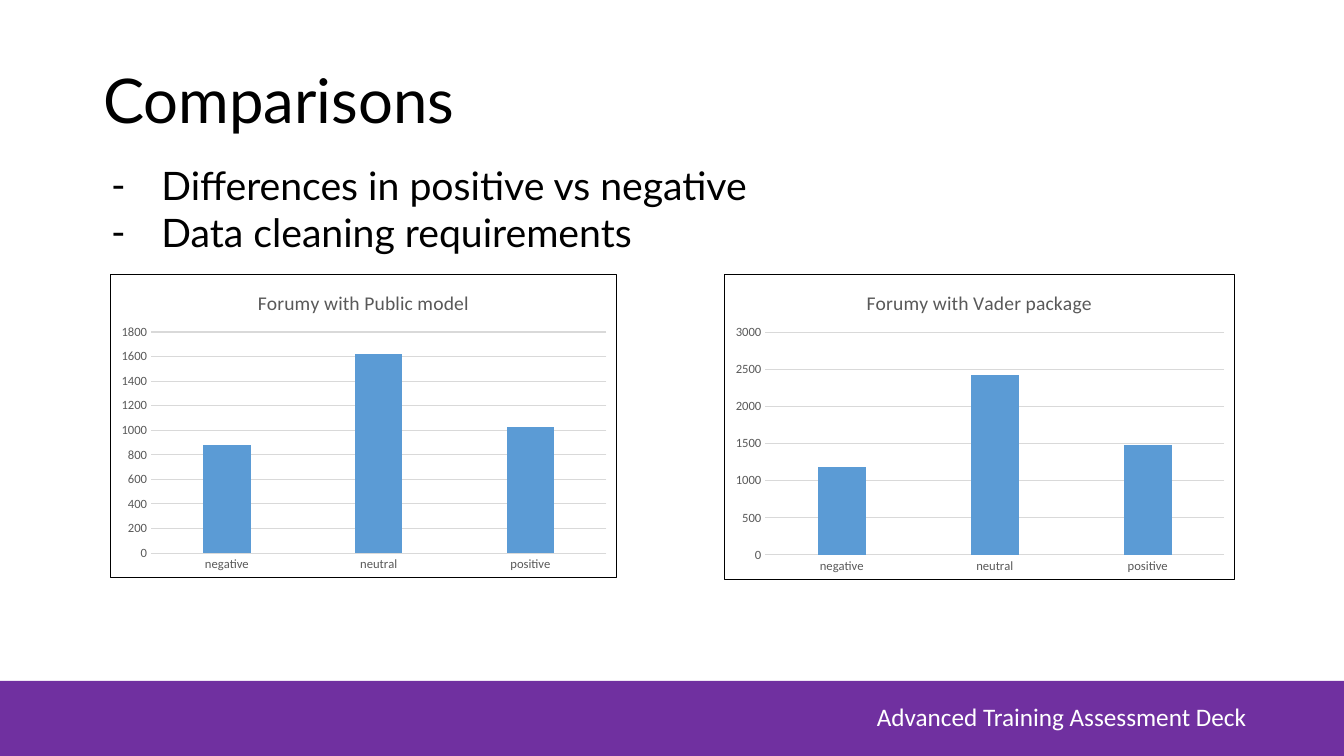
"""Build the Comparisons slide with two sentiment column charts."""
import pptx
import pptx.util
import pptx.dml.color
import pptx.chart.data
import pptx.enum.chart
import pptx.enum.shapes
import pptx.enum.text
import pptx.oxml

PX = 914400 / 100.8
C_NS = 'xmlns:c="http://schemas.openxmlformats.org/drawingml/2006/chart"'
A_NS = 'xmlns:a="http://schemas.openxmlformats.org/drawingml/2006/main"'
Pt = pptx.util.Pt
rgb = pptx.dml.color.RGBColor.from_string


def box(*lengths):
    return [round(n * PX) for n in lengths]


def style(font, name, size, color):
    font.name, font.size, font.bold = name, Pt(size), False
    font.color.rgb = rgb(color)


prs = pptx.Presentation()
prs.slide_width, prs.slide_height = box(1344, 756)
s = prs.slides.add_slide(prs.slide_layouts[1])

band = s.shapes.add_shape(pptx.enum.shapes.MSO_SHAPE.RECTANGLE, *box(0, 681, 1344, 75))
band.shadow.inherit = False
band.fill.solid()
band.fill.fore_color.rgb = rgb("7030A0")
band.line.fill.background()

footer = s.shapes.add_textbox(*box(867, 696, 419, 40))
footer.text_frame.word_wrap = True
footer.text_frame.text = "Advanced Training Assessment Deck"
style(footer.text_frame.paragraphs[0].runs[0].font, "Calibri", 18, "FFFFFF")

title = s.shapes.title
title.left, title.top, title.width, title.height = box(93, 31, 1159, 146)
tf = title.text_frame
tf.text = "Comparisons"
tf.vertical_anchor = pptx.enum.text.MSO_ANCHOR.MIDDLE
p = tf.paragraphs[0]
p.alignment = pptx.enum.text.PP_ALIGN.LEFT
p.line_spacing = 0.9
style(p.runs[0].font, "Lato", 44, "000000")

body = s.placeholders[1]
body.left, body.top, body.width, body.height = box(101, 156, 1142, 105)
tf = body.text_frame
tf.text = "Differences in positive vs negative\nData cleaning requirements"
tf.auto_size = pptx.enum.text.MSO_AUTO_SIZE.NONE
for p in tf.paragraphs:
    p.space_before = Pt(0)
    style(p.runs[0].font, "Lato", 28, "000000")
    pPr = p._p.get_or_add_pPr()
    pPr.set("marL", "457200")
    pPr.set("indent", "-457200")
    pPr.append(pptx.oxml.parse_xml(f'<a:buFont {A_NS} typeface="Lato"/>'))
    pPr.append(pptx.oxml.parse_xml(f'<a:buChar {A_NS} char="-"/>'))

charts = [
    ("Forumy with Public model", (110, 274, 507, 304), (880, 1620, 1030), 1800, 200),
    ("Forumy with Vader package", (724, 274, 511, 306), (1190, 2430, 1480), 3000, 500),
]
for heading, place, values, top, step in charts:
    data = pptx.chart.data.CategoryChartData()
    data.categories = ["negative", "neutral", "positive"]
    data.add_series("Series 1", values)
    kind = pptx.enum.chart.XL_CHART_TYPE.COLUMN_CLUSTERED
    chart = s.shapes.add_chart(kind, *box(*place), data).chart
    style(chart.font, "Calibri", 10, "000000")
    chart.has_legend = False
    chart.has_title = True
    chart.chart_title.include_in_layout = False
    tf = chart.chart_title.text_frame
    tf.text = heading
    style(tf.paragraphs[0].runs[0].font, "Calibri", 14, "595959")

    plot = chart.plots[0]
    plot.gap_width, plot.overlap, plot.vary_by_categories = 219, -27, False
    fill = plot.series[0].format.fill
    fill.solid()
    fill.fore_color.rgb = rgb("5B9BD5")

    cat, val = chart.category_axis, chart.value_axis
    for axis in (cat, val):
        axis.major_tick_mark = pptx.enum.chart.XL_TICK_MARK.NONE
        style(axis.tick_labels.font, "Calibri", 9, "595959")
    val.minimum_scale, val.maximum_scale, val.major_unit = 0, top, step
    val.has_major_gridlines = True
    val.format.line.fill.background()
    for line in (cat.format.line, val.major_gridlines.format.line):
        line.color.rgb = rgb("D9D9D9")
        line.width = Pt(0.75)

    area = chart._chartSpace.chart.plotArea
    for old in area.findall(pptx.oxml.ns.qn("c:layout")):
        area.remove(old)
    area.insert(0, pptx.oxml.parse_xml(
        f'<c:layout {C_NS}><c:manualLayout><c:layoutTarget val="inner"/>'
        '<c:xMode val="edge"/><c:yMode val="edge"/><c:x val="0.08"/><c:y val="0.19"/>'
        '<c:w val="0.9"/><c:h val="0.73"/></c:manualLayout></c:layout>'))
    chart._chartSpace.chart.addnext(pptx.oxml.parse_xml(
        f'<c:spPr {C_NS} {A_NS}><a:noFill/><a:ln w="9525"><a:solidFill>'
        '<a:srgbClr val="000000"/></a:solidFill></a:ln></c:spPr>'))

prs.save("out.pptx")
